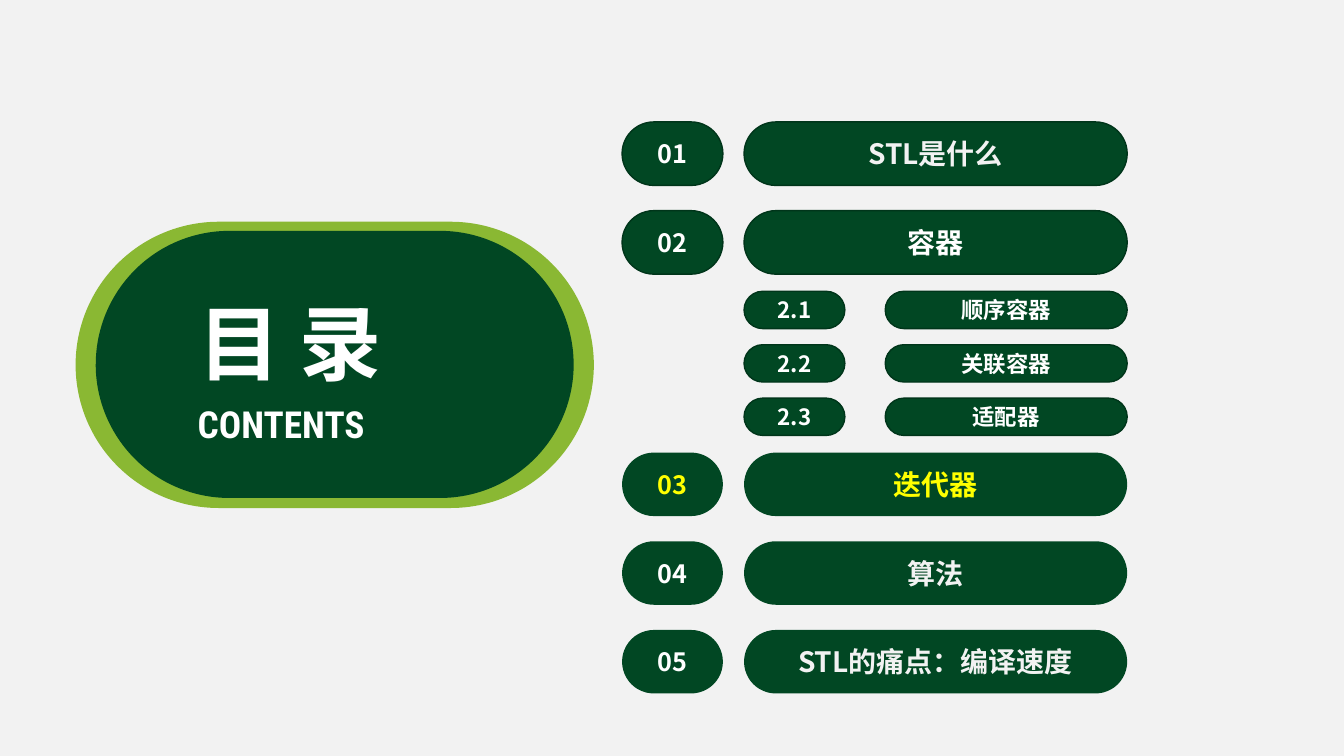
from lxml.etree import SubElement
from pptx import Presentation
from pptx.dml.color import RGBColor
from pptx.enum.shapes import MSO_SHAPE
from pptx.enum.text import MSO_ANCHOR, MSO_AUTO_SIZE, PP_ALIGN
from pptx.oxml.ns import qn
from pptx.util import Inches, Pt

TITLE, SUBTITLE = "目 录", "CONTENTS"
# number, label, label colour, outlined
OPENING = [("01", "STL是什么", "soft", True), ("02", "容器", "white", True)]
CONTAINERS = [("2.1", "顺序容器", "white", True), ("2.2", "关联容器", "white", True),
              ("2.3", "适配器", "white", True)]
CLOSING = [("03", "迭代器", "yellow", False), ("04", "算法", "soft", False),
           ("05", "STL的痛点：编译速度", "soft", False)]

COLORS = {"back": "F2F2F2", "lime": "8AB833", "green": "014723", "edge": "00351A",
          "white": "FFFFFF", "soft": "F2F2F2", "yellow": "FFFF00"}
CJK, LATIN = "Noto Sans CJK SC", "Roboto Condensed"

NUMBER_W, RIGHT = 1, 11.18
MAIN = {"number_x": 6.17, "label_x": 7.38, "h": 0.63, "pitch": 0.88, "sizes": (18, 20)}
SUB = {"number_x": 7.38, "label_x": 8.78, "h": 0.37, "pitch": 0.53, "sizes": (16, 16)}
GROUPS = [(OPENING, 1.21, MAIN), (CONTAINERS, 2.89, SUB), (CLOSING, 4.49, MAIN)]


def rgb(name):
    return RGBColor.from_string(COLORS[name])


def write(sp, text, size, color, font=CJK, wrap=True):
    """Put one bold, centred line in the middle of a shape."""
    tf = sp.text_frame
    for name, value in {"word_wrap": wrap, "auto_size": MSO_AUTO_SIZE.NONE,
                        "vertical_anchor": MSO_ANCHOR.MIDDLE}.items():
        setattr(tf, name, value)
    p = tf.paragraphs[0]
    p.alignment = PP_ALIGN.CENTER
    r = p.add_run()
    r.text = text
    for name, value in {"size": Pt(size), "bold": True, "name": font}.items():
        setattr(r.font, name, value)
    r.font.color.rgb = rgb(color)
    SubElement(r.font._element, qn("a:ea"), typeface=font)


def pill(shapes, box, fill="green", outlined=False):
    sp = shapes.add_shape(MSO_SHAPE.ROUNDED_RECTANGLE, *map(Inches, box))
    sp.adjustments[0] = 0.5
    sp.shadow.inherit = False
    sp.fill.solid()
    sp.fill.fore_color.rgb = rgb(fill)
    if outlined:
        sp.line.color.rgb = rgb("edge")
        sp.line.width = Pt(1)
    else:
        sp.line.fill.background()
    return sp


def add_entries(shapes, entries, top, grid):
    for row, (number, label, color, outlined) in enumerate(entries):
        y = top + row * grid["pitch"]
        number_color = "yellow" if color == "yellow" else "white"
        cells = [(number, grid["number_x"], NUMBER_W, number_color),
                 (label, grid["label_x"], RIGHT - grid["label_x"], color)]
        for (text, x, w, text_color), size in zip(cells, grid["sizes"]):
            sp = pill(shapes, (x, y, w, grid["h"]), outlined=outlined)
            write(sp, text, size, text_color)


def main():
    prs = Presentation()
    prs.slide_width, prs.slide_height = Inches(13.33), Inches(7.5)
    s = prs.slides.add_slide(prs.slide_layouts[5])
    s.background.fill.solid()
    s.background.fill.fore_color.rgb = rgb("back")

    pill(s.shapes, (0.75, 2.2, 5.14, 2.84), "lime")
    pill(s.shapes, (0.95, 2.29, 4.74, 2.65))

    title = s.shapes.title
    title.left, title.top, title.width, title.height = map(Inches, (1.83, 2.84, 2.09, 1.09))
    s.shapes._spTree.append(title._element)
    write(title, TITLE, 58.6, "white", wrap=False)
    subtitle = s.shapes.add_textbox(*map(Inches, (1.66, 3.93, 2.26, 0.55)))
    write(subtitle, SUBTITLE, 26.6, "white", LATIN, wrap=False)

    for entries, top, grid in GROUPS:
        add_entries(s.shapes, entries, top, grid)
    prs.save("out.pptx")


if __name__ == "__main__":
    main()
